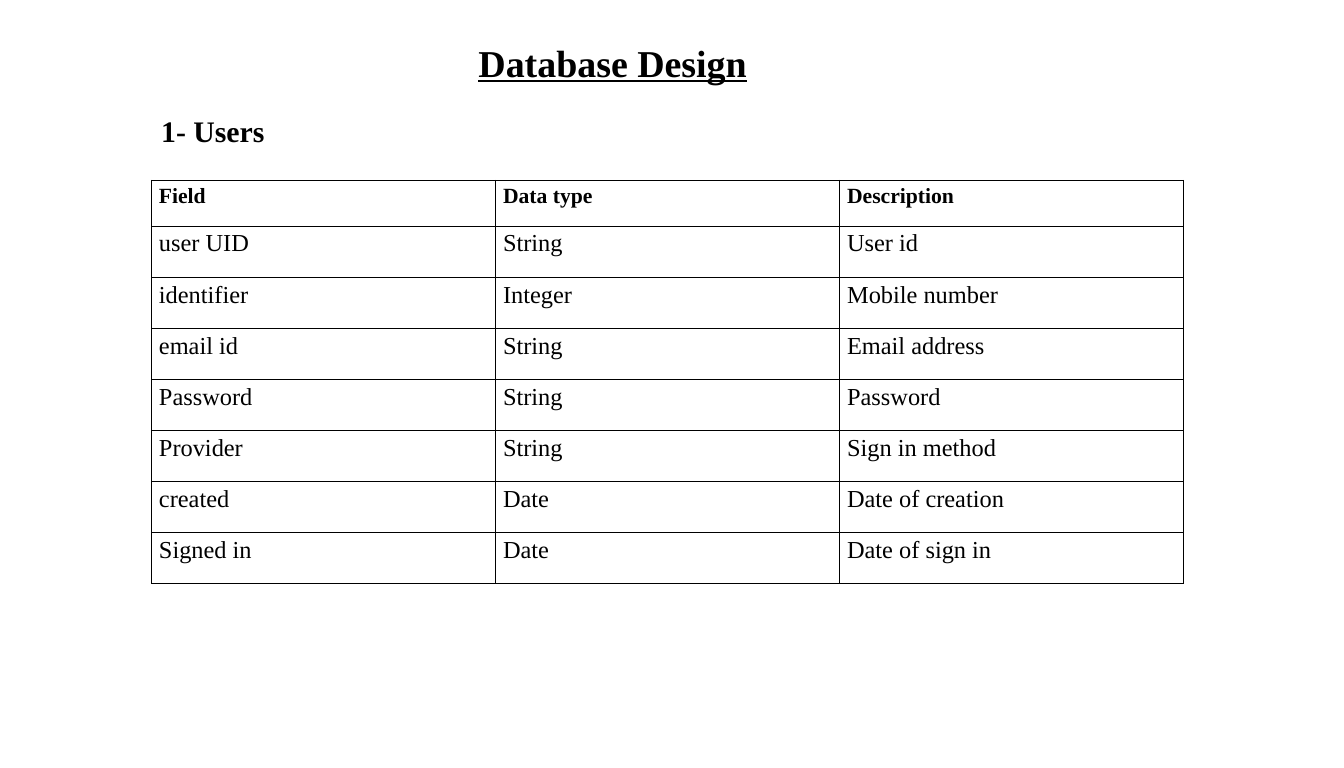
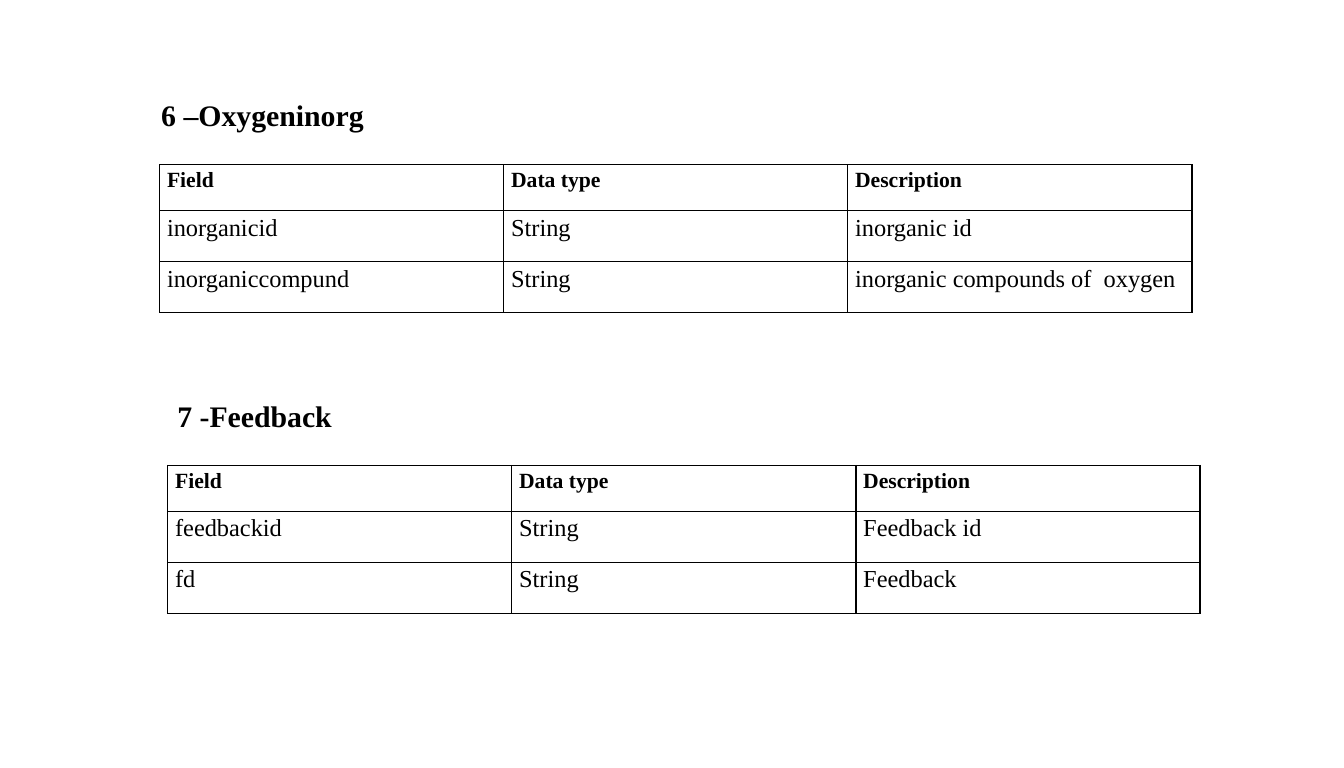
from dataclasses import dataclass

from lxml import etree
from pptx import Presentation
from pptx.dml.color import RGBColor
from pptx.enum.text import MSO_AUTO_SIZE
from pptx.oxml.ns import qn
from pptx.util import Cm, Pt

FIT_SHAPE = MSO_AUTO_SIZE.SHAPE_TO_FIT_TEXT


@dataclass(frozen=True)
class Theme:
    font: str = "Times New Roman"
    ink: str = "000000"
    paper: str = "FFFFFF"
    title_size: int = 28
    heading_size: int = 22
    header_size: int = 16
    body_size: int = 18
    border: int = 1
    line_spacing: float = 1.15


THEME = Theme()
SLIDE_WIDTH, SLIDE_HEIGHT = 35, 20
COLUMN_WIDTH = 8.96
HEADER_HEIGHT, ROW_HEIGHT = 1.19, 1.33
HEADING_HEIGHT, HEADING_TO_TABLE = 1.2, 1.9
CELL_MARGIN = 0.19
HEADER = ("Field", "Data type", "Description")

SLIDES = [
    {
        "title": ("Database Design", 12.21, 0.9, 7.56, 1.45),
        "sections": [
            {
                "heading": "1- Users", "heading_left": 3.95, "heading_width": 3.22,
                "left": 3.95, "top": 2.8,
                "rows": [
                    ("user UID", "String", "User id"),
                    ("identifier", "Integer", "Mobile number"),
                    ("email id", "String", "Email address"),
                    ("Password", "String", "Password"),
                    ("Provider", "String", "Sign in method"),
                    ("created", "Date", "Date of creation"),
                    ("Signed in", "Date", "Date of sign in"),
                ],
            },
        ],
    },
    {
        "sections": [
            {
                "heading": "6 –Oxygeninorg", "heading_left": 3.95, "heading_width": 5.84,
                "left": 4.16, "top": 2.39,
                "rows": [
                    ("inorganicid", "String", "inorganic id"),
                    ("inorganiccompund", "String", "inorganic compounds of  oxygen"),
                ],
            },
            {
                "heading": "7 -Feedback", "heading_left": 4.37, "heading_width": 4.6,
                "left": 4.37, "top": 10.22,
                "rows": [
                    ("feedbackid", "String", "Feedback id"),
                    ("fd", "String", "Feedback"),
                ],
            },
        ],
    },
]


def write(text_frame, text, size, bold=False, underline=False):
    text_frame.text = text
    paragraph = text_frame.paragraphs[0]
    font = paragraph.runs[0].font
    font.name = THEME.font
    font.size = Pt(size)
    font.bold = bold
    font.underline = underline
    font.color.rgb = RGBColor.from_string(THEME.ink)
    return paragraph


def add_label(slide, text, left, top, width, height, size, underline=False):
    shape = slide.shapes.add_textbox(Cm(left), Cm(top), Cm(width), Cm(height))
    text_frame = shape.text_frame
    text_frame.word_wrap = False
    text_frame.auto_size = FIT_SHAPE
    write(text_frame, text, size, bold=True, underline=underline)


def add_borders(cell):
    properties = cell._tc.get_or_add_tcPr()
    for index, side in enumerate(("lnL", "lnR", "lnT", "lnB")):
        line = etree.Element(qn(f"a:{side}"), w=str(Pt(THEME.border)))
        fill = etree.SubElement(line, qn("a:solidFill"))
        etree.SubElement(fill, qn("a:srgbClr"), val=THEME.ink)
        properties.insert(index, line)


def fill_cell(cell, text, is_header):
    cell.margin_left = cell.margin_right = Cm(CELL_MARGIN)
    cell.margin_top = cell.margin_bottom = 0
    cell.fill.background()
    add_borders(cell)
    size = THEME.header_size if is_header else THEME.body_size
    paragraph = write(cell.text_frame, text, size, bold=is_header)
    paragraph.line_spacing = THEME.line_spacing


def add_field_table(slide, left, top, body):
    rows = [HEADER, *body]
    heights = [HEADER_HEIGHT] + [ROW_HEIGHT] * len(body)
    table = slide.shapes.add_table(
        len(rows), len(HEADER), Cm(left), Cm(top),
        Cm(COLUMN_WIDTH * len(HEADER)), Cm(sum(heights)),
    ).table
    table.horz_banding = False
    for column in table.columns:
        column.width = Cm(COLUMN_WIDTH)
    for row_index, (texts, height) in enumerate(zip(rows, heights)):
        table.rows[row_index].height = Cm(height)
        for column_index, text in enumerate(texts):
            fill_cell(table.cell(row_index, column_index), text, row_index == 0)


def add_section(slide, section):
    add_label(slide, section["heading"], section["heading_left"], section["top"],
              section["heading_width"], HEADING_HEIGHT, THEME.heading_size)
    add_field_table(slide, section["left"], section["top"] + HEADING_TO_TABLE, section["rows"])


def main():
    presentation = Presentation()
    presentation.slide_width = Cm(SLIDE_WIDTH)
    presentation.slide_height = Cm(SLIDE_HEIGHT)
    background = presentation.slide_master.background.fill
    background.solid()
    background.fore_color.rgb = RGBColor.from_string(THEME.paper)
    blank_layout = presentation.slide_layouts[6]
    for content in SLIDES:
        slide = presentation.slides.add_slide(blank_layout)
        if "title" in content:
            add_label(slide, *content["title"], THEME.title_size, underline=True)
        for section in content["sections"]:
            add_section(slide, section)
    presentation.save("out.pptx")


if __name__ == "__main__":
    main()
